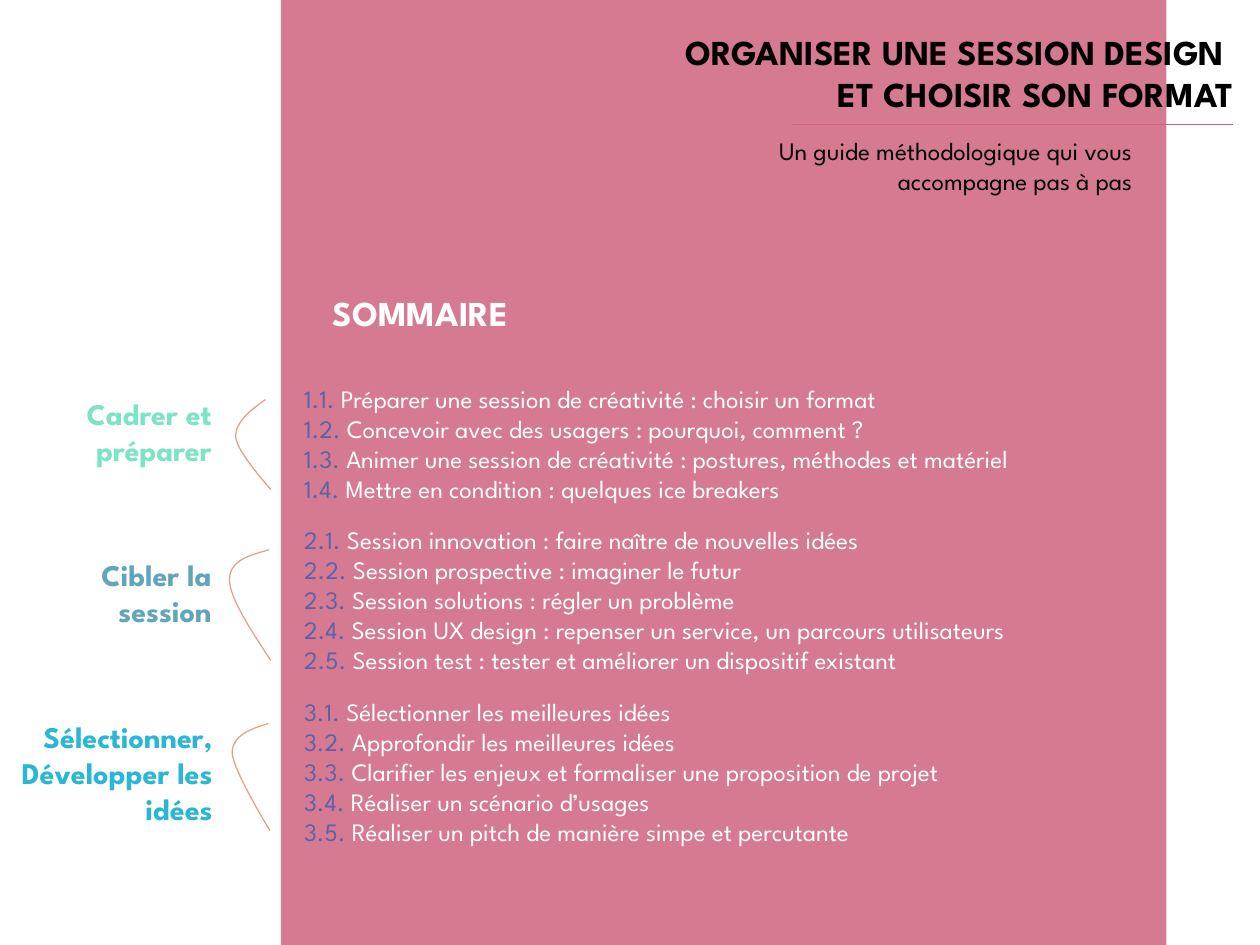
from lxml import etree
from pptx import Presentation
from pptx.dml.color import RGBColor
from pptx.enum.shapes import MSO_CONNECTOR as Connector, MSO_SHAPE as Shape
from pptx.enum.text import MSO_AUTO_SIZE as AutoSize, PP_ALIGN as Align
from pptx.oxml.ns import qn
from pptx.util import Inches, Pt

FONT = "League Spartan"
PINK, ROSE, SALMON = "D57A91", "D5647C", "E39F87"
BLACK, WHITE, INDIGO = "000000", "FFFFFF", "5962AA"
CURVE_STEPS = 16

SECTIONS = [
    {
        "label": ["Cadrer et préparer"],
        "color": "7CE3C6",
        "label_box": (0.52, 4.34, 1.93, 0.91),
        "brace_at": (2.62, 4.44),
        "brace": [(0.33, 0), (0.16, 0.12), (-0.01, 0.25), (0, 0.42),
                  (0.01, 0.58), (0.39, 1), (0.39, 1)],
        "topics_box": (3.28, 4.21, 9.84, 1.45),
        "topics": [
            "Préparer une session de créativité : choisir un format",
            "Concevoir avec des usagers : pourquoi, comment ?",
            "Animer une session de créativité : postures, méthodes et matériel",
            "Mettre en condition : quelques ice breakers",
        ],
    },
    {
        "label": ["Cibler la session"],
        "color": "60A5BC",
        "label_box": (0.52, 6.13, 1.93, 0.91),
        "brace_at": (2.55, 6.11),
        "brace": [(0.44, 0), (0.22, 0.06), (0, 0.12), (0, 0.33),
                  (0, 0.53), (0.23, 0.88), (0.46, 1.23)],
        "topics_box": (3.28, 5.78, 9.5, 1.78),
        "topics": [
            "Session innovation : faire naître de nouvelles idées",
            "Session prospective : imaginer le futur",
            "Session solutions : régler un problème",
            "Session UX design : repenser un service, un parcours utilisateurs",
            "Session test : tester et améliorer un dispositif existant",
        ],
    },
    {
        "label": ["Sélectionner,", "Développer les idées"],
        "color": "29B7D5",
        "label_box": (-0.03, 7.93, 2.49, 1.31),
        "brace_at": (2.58, 8.04),
        "brace": [(0.4, 0), (0.2, 0.06), (0, 0.13), (0, 0.33),
                  (0.01, 0.52), (0.42, 1.19), (0.42, 1.19)],
        "topics_box": (3.28, 7.69, 9.5, 1.78),
        "topics": [
            "Sélectionner les meilleures idées",
            "Approfondir les meilleures idées",
            "Clarifier les enjeux et formaliser une proposition de projet",
            "Réaliser un scénario d’usages",
            "Réaliser un pitch de manière simpe et percutante",
        ],
    },
]


def paint(target, color):
    """Apply a solid hex colour to a fill."""
    target.solid()
    target.fore_color.rgb = RGBColor.from_string(color)


def add_text(page, box, paragraphs, size, bold=False, align=Align.LEFT):
    """Write paragraphs, each a list of (text, colour) spans, in a box."""
    frame = page.shapes.add_textbox(*map(Inches, box)).text_frame
    frame.word_wrap = True
    frame.auto_size = AutoSize.SHAPE_TO_FIT_TEXT
    for index, spans in enumerate(paragraphs):
        para = frame.add_paragraph() if index else frame.paragraphs[0]
        para.alignment = align
        para.font.name, para.font.size, para.font.bold = FONT, Pt(size), bold
        for text, color in spans:
            for number, line in enumerate(text.split("\n")):
                if number:
                    para.add_line_break()
                span = para.add_run()
                span.text = line
                paint(span.font.fill, color)


def add_panel(page, box):
    """Draw the coloured panel behind the contents."""
    panel = page.shapes.add_shape(Shape.RECTANGLE, *map(Inches, box))
    panel.shadow.inherit = False
    paint(panel.fill, PINK)
    panel.line.fill.background()


def add_header(page, box):
    """Place the title, its rule and the subtitle."""
    left, top, width, height = box
    title = "ORGANISER UNE SESSION DESIGN \nET CHOISIR SON FORMAT"
    subtitle = "Un guide méthodologique qui vous accompagne pas à pas"
    add_text(page, (left, top, width, 1.04), [[(title, BLACK)]], 28, True, Align.RIGHT)
    add_text(page, (left + 1.56, top + 1.17, 4.65, height - 1.17),
             [[(subtitle, BLACK)]], 20, align=Align.RIGHT)
    rule_y = Inches(top + 1.09)
    rule = page.shapes.add_connector(
        Connector.STRAIGHT, Inches(left + 7.23), rule_y, Inches(left + 2.33), rule_y)
    paint(rule.line.fill, ROSE)
    rule.line.width = Pt(0.5)
    etree.SubElement(rule._element.spPr, qn("a:effectLst"))


def bezier(controls, t):
    """Return the point at t on a cubic curve."""
    weights = ((1 - t) ** 3, 3 * t * (1 - t) ** 2, 3 * t * t * (1 - t), t ** 3)
    return tuple(sum(w * point[axis] for w, point in zip(weights, controls))
                 for axis in (0, 1))


def add_brace(page, origin, controls):
    """Draw a two-part curve from control points relative to its origin."""
    curve = [controls[0]] + [
        bezier(controls[start:start + 4], step / CURVE_STEPS)
        for start in (0, 3) for step in range(1, CURVE_STEPS + 1)]
    points = [(Inches(origin[0] + x), Inches(origin[1] + y)) for x, y in curve]
    builder = page.shapes.build_freeform(*points[0])
    builder.add_line_segments(points[1:], close=False)
    brace = builder.convert_to_shape()
    brace.shadow.inherit = False
    brace.fill.background()
    paint(brace.line.fill, SALMON)
    brace.line.width = Pt(1)


def add_section(page, number, section):
    """Place one section's label, brace and numbered topics."""
    topics = [[(f"{number}.{rank}. ", INDIGO), (topic, WHITE)]
              for rank, topic in enumerate(section["topics"], 1)]
    label = [[(line, section["color"])] for line in section["label"]]
    add_text(page, section["topics_box"], topics, 20)
    add_brace(page, section["brace_at"], section["brace"])
    add_text(page, section["label_box"], label, 24, True, Align.RIGHT)


def main():
    """Build the contents slide and save the deck."""
    deck = Presentation()
    deck.slide_width, deck.slide_height = Inches(14), Inches(10.5)
    page = deck.slides.add_slide(deck.slide_layouts[6])
    add_panel(page, (3.12, -0.06, 9.84, 11.09))
    add_header(page, (6.47, 0.29, 7.33, 1.94))
    add_text(page, (3.6, 3.19, 2.84, 0.57), [[("SOMMAIRE", WHITE)]], 28, True)
    for number, section in enumerate(SECTIONS, 1):
        add_section(page, number, section)
    deck.save("out.pptx")


if __name__ == "__main__":
    main()
